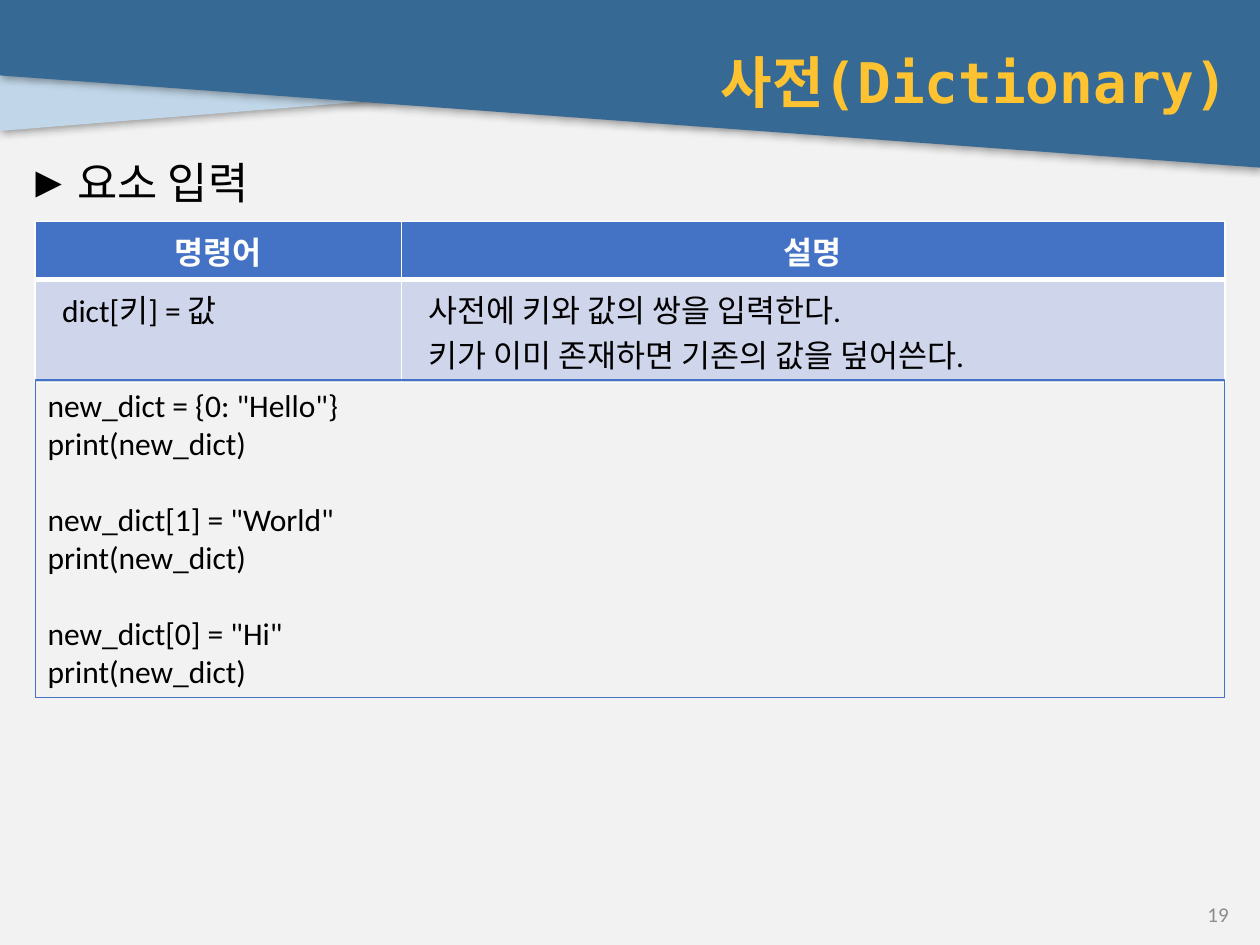
from lxml.etree import SubElement
from pptx import Presentation
from pptx.dml.color import RGBColor
from pptx.enum.shapes import MSO_SHAPE
from pptx.enum.text import MSO_ANCHOR, MSO_AUTO_SIZE, PP_ALIGN
from pptx.oxml import parse_xml
from pptx.oxml.ns import nsdecls, qn
from pptx.util import Cm, Pt

PAPER = RGBColor(0xF2, 0xF2, 0xF2)
PALE_BLUE = RGBColor(0xC1, 0xD7, 0xE9)
DEEP_BLUE = RGBColor(0x36, 0x69, 0x94)
YELLOW = RGBColor(0xFF, 0xC3, 0x31)
HEADER_BLUE = RGBColor(0x44, 0x72, 0xC4)
ROW_BLUE = RGBColor(0xCF, 0xD5, 0xEA)
GREY = RGBColor(0x8C, 0x8C, 0x8C)
BLACK = RGBColor(0, 0, 0)
WHITE = RGBColor(0xFF, 0xFF, 0xFF)
MONO, SANS = "DejaVu Sans Mono", "Calibri"


def write(frame, lines, color, para_format=None, **font_format):
    """Fill a text frame with one formatted paragraph per line."""
    for index, line in enumerate(lines):
        para = frame.add_paragraph() if index else frame.paragraphs[0]
        for name, value in (para_format or {}).items():
            setattr(para, name, value)
        span = para.add_run()
        span.text = line
        for name, value in font_format.items():
            setattr(span.font, name, value)
        span.font.color.rgb = color


def add_text(page, box, lines, color, anchor=MSO_ANCHOR.TOP, para_format=None, **font_format):
    """Place a wrapping text box and return its frame."""
    frame = page.shapes.add_textbox(*map(Cm, box)).text_frame
    frame.word_wrap = True
    frame.vertical_anchor = anchor
    write(frame, lines, color, para_format, **font_format)
    return frame


def add_ribbon(page, box, outline, color):
    """Draw a shadowed polygon whose corners are fractions of the box."""
    left, top, width, height = box
    points = [(Cm(left + x * width), Cm(top + y * height)) for x, y in outline]
    builder = page.shapes.build_freeform(*points[0], scale=1.0)
    builder.add_line_segments(points[1:], close=True)
    ribbon = builder.convert_to_shape()
    ribbon.fill.solid()
    ribbon.fill.fore_color.rgb = color
    ribbon.line.fill.background()
    ribbon.shadow.inherit = False
    ribbon._element.spPr.find(qn("a:effectLst")).append(parse_xml(
        f'<a:outerShdw {nsdecls("a")} blurRad="{Pt(5)}" dist="{Pt(1)}" dir="2700000" '
        'algn="tl" rotWithShape="0"><a:srgbClr val="000000"><a:alpha val="40000"/>'
        '</a:srgbClr></a:outerShdw>'))


def add_banner(page, box, title):
    """Draw the two ribbons and the title across the top."""
    left, top, width, height = box
    add_ribbon(page, (left, top + 0.1, 17.37, 2.54),
               [(1, 0), (0, 0), (0, 1), (1, 0.45)], PALE_BLUE)
    add_ribbon(page, box, [(0, 0), (1, 0), (1, 1), (0, 0.45)], DEEP_BLUE)
    add_text(page, (left + 0.61, top + 0.61, width - 0.99, 2.06), [title], YELLOW,
             MSO_ANCHOR.MIDDLE,
             {"alignment": PP_ALIGN.RIGHT, "space_before": Pt(2), "space_after": Pt(2)},
             name=MONO, size=Pt(32), bold=True)


def add_heading(page, box, text):
    """Place the bulleted section heading."""
    frame = add_text(page, box, [text], BLACK,
                     para_format={"space_before": Pt(2), "space_after": Pt(2)},
                     name=MONO, size=Pt(25))
    properties = frame.paragraphs[0]._p.get_or_add_pPr()
    properties.set("marL", str(Cm(1.02)))
    properties.set("indent", str(-Cm(1.02)))
    SubElement(properties, qn("a:buFont"), typeface="Arial")
    SubElement(properties, qn("a:buChar"), char="►")


def set_borders(cell, bottom):
    """Give a cell white borders with the stated bottom width."""
    properties = cell._tc.get_or_add_tcPr()
    widths = {"lnL": 1, "lnR": 1, "lnT": 1, "lnB": bottom}
    for index, (side, width) in enumerate(widths.items()):
        properties.insert(index, parse_xml(
            f'<a:{side} {nsdecls("a")} w="{Pt(width)}"><a:solidFill>'
            f'<a:srgbClr val="{WHITE}"/></a:solidFill></a:{side}>'))


def add_command_table(page, box, widths, rows):
    """Place the command table with a header row."""
    table = page.shapes.add_table(len(rows), len(widths), *map(Cm, box)).table
    for column, width in zip(table.columns, widths):
        column.width = Cm(width)
    for row, height in zip(table.rows, (1.16, 2.08)):
        row.height = Cm(height)
    for row_index, row in enumerate(rows):
        header = row_index == 0
        for column_index, lines in enumerate(row):
            cell = table.cell(row_index, column_index)
            cell.fill.solid()
            cell.fill.fore_color.rgb = HEADER_BLUE if header else ROW_BLUE
            cell.margin_left = Cm(0.25 if header else 0.54)
            write(cell.text_frame, lines, WHITE if header else BLACK,
                  {"alignment": PP_ALIGN.CENTER if header else PP_ALIGN.LEFT},
                  name=SANS, size=Pt(18), bold=header)
            set_borders(cell, 3 if header else 1)


def add_code(page, box, blocks):
    """Place the outlined code box with a gap between blocks."""
    panel = page.shapes.add_shape(MSO_SHAPE.RECTANGLE, *map(Cm, box))
    panel.shadow.inherit = False
    panel.fill.background()
    panel.line.color.rgb = HEADER_BLUE
    panel.line.width = Pt(0.75)
    frame = panel.text_frame
    frame.word_wrap = True
    frame.auto_size = MSO_AUTO_SIZE.SHAPE_TO_FIT_TEXT
    frame.vertical_anchor = MSO_ANCHOR.TOP
    write(frame, [line for block in blocks for line in block], BLACK,
          {"alignment": PP_ALIGN.LEFT}, name=SANS, size=Pt(18))
    start = 0
    for block in blocks[:-1]:
        start += len(block)
        frame.paragraphs[start].space_before = Pt(22)


def build():
    """Build and save the deck."""
    deck = Presentation()
    deck.slide_width, deck.slide_height = Cm(25.4), Cm(19.05)
    page = deck.slides.add_slide(deck.slide_layouts[6])
    page.background.fill.solid()
    page.background.fill.fore_color.rgb = PAPER
    add_banner(page, (0, 0, 25.4, 3.38), "사전(Dictionary)")
    add_heading(page, (0.3, 3.02, 24.71, 14.78), "요소 입력")
    add_text(page, (19.3, 18.11, 5.72, 0.64), ["19"], GREY, MSO_ANCHOR.MIDDLE,
             {"alignment": PP_ALIGN.RIGHT}, name=SANS, size=Pt(12))
    add_command_table(page, (0.71, 4.47, 23.98, 2.82), (7.38, 16.6), [
        [["명령어"], ["설명"]],
        [["dict[키] = 값"],
         ["사전에 키와 값의 쌍을 입력한다.", "키가 이미 존재하면 기존의 값을 덮어쓴다."]],
    ])
    add_code(page, (0.71, 7.66, 23.98, 6.4), [
        ['new_dict = {0: "Hello"}', "print(new_dict)"],
        ['new_dict[1] = "World"', "print(new_dict)"],
        ['new_dict[0] = "Hi"', "print(new_dict)"],
    ])
    deck.save("out.pptx")


build()
